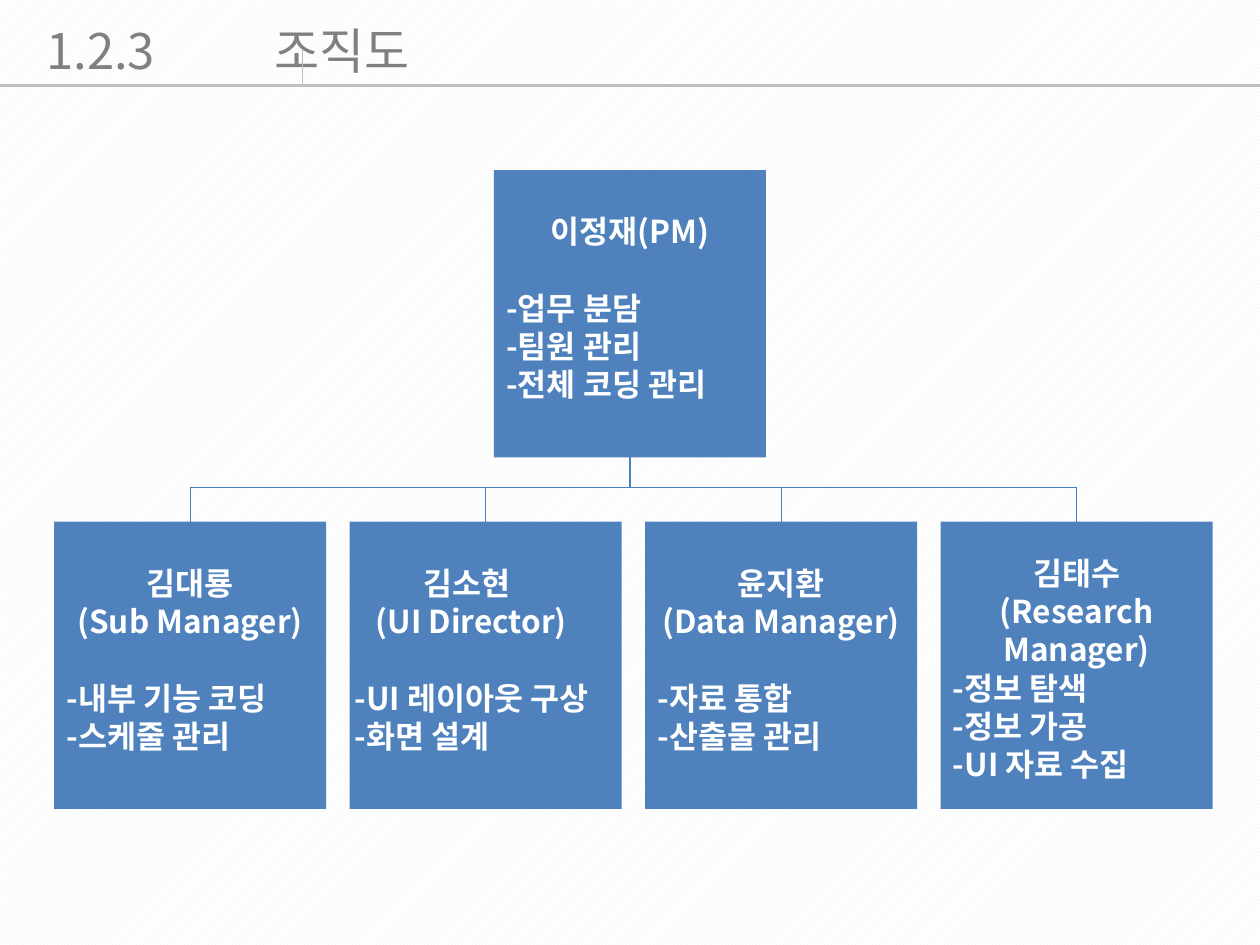
from lxml import etree
from pptx import Presentation
from pptx.dml.color import RGBColor
from pptx.enum.dml import MSO_PATTERN
from pptx.enum.shapes import MSO_CONNECTOR, MSO_SHAPE
from pptx.enum.text import MSO_AUTO_SIZE, PP_ALIGN
from pptx.oxml.ns import qn
from pptx.util import Inches, Pt

RECT, STRAIGHT = MSO_SHAPE.RECTANGLE, MSO_CONNECTOR.STRAIGHT
HATCH = MSO_PATTERN.LIGHT_UPWARD_DIAGONAL
LEFT, CENTER = PP_ALIGN.LEFT, PP_ALIGN.CENTER
FIT = MSO_AUTO_SIZE.SHAPE_TO_FIT_TEXT
TOP, BOTTOM = 0, 2
COLS, ROWS = 100, 75
FONT = "Noto Sans CJK KR"
COLORS = {"hatch": "F2F2F2", "paper": "FFFFFF", "title": "808080",
          "rule": "BFBFBF", "card": "4F81BD", "link": "4B7EBC"}
TITLE = {"size": Pt(28), "bold": False}
BODY = {"size": Pt(18), "bold": True}
PITCH = 1.215

CARD_W, CARD_H = 21.6, 22.8
FIRST_X, STEP_X = 4.3, 23.45
PM_X, PM_Y, TEAM_Y, BUS_Y = 39.2, 13.5, 41.4, 38.7

PM = (["이정재(PM)"], ["-업무 분담", "-팀원 관리", "-전체 코딩 관리"])
TEAM = [
    {"names": ["김대룡", "(Sub Manager)"],
     "tasks": ["-내부 기능 코딩", "-스케줄 관리"]},
    {"names": ["김소현", "(UI Director)"],
     "tasks": ["-UI 레이아웃 구상", "-화면 설계"],
     "dx": -0.6, "width": 24.5, "indents": [5.5, 1.7]},
    {"names": ["윤지환", "(Data Manager)"],
     "tasks": ["-자료 통합", "-산출물 관리"]},
    {"names": ["김태수", "(Research", "Manager)"],
     "tasks": ["-정보 탐색", "-정보 가공", "-UI 자료 수집"],
     "dy": 2, "gap": False},
]


def rgb(name):
    return RGBColor.from_string(COLORS[name])


class Deck:
    def __init__(self):
        self.prs = Presentation()
        self.prs.slide_width, self.prs.slide_height = Inches(10), Inches(7.5)
        self.s = self.prs.slides.add_slide(self.prs.slide_layouts[6])
        fill = self.s.background.fill
        fill.patterned()
        fill.pattern = HATCH
        fill.fore_color.rgb, fill.back_color.rgb = rgb("hatch"), rgb("paper")

    def x(self, cols):
        return round(self.prs.slide_width * cols / COLS)

    def y(self, rows):
        return round(self.prs.slide_height * rows / ROWS)

    def card(self, col, row):
        sp = self.s.shapes.add_shape(RECT, self.x(col), self.y(row),
                                     self.x(CARD_W), self.y(CARD_H))
        sp.shadow.inherit = False
        sp.fill.solid()
        sp.fill.fore_color.rgb = rgb("card")
        sp.line.fill.background()
        return sp

    def text(self, box, lines, style, color):
        col, row, width, height = box
        sp = self.s.shapes.add_textbox(self.x(col), self.y(row),
                                       self.x(width), self.y(height))
        tf = sp.text_frame
        tf.word_wrap, tf.auto_size = True, FIT
        for i, line in enumerate(lines):
            p = tf.paragraphs[0] if i == 0 else tf.add_paragraph()
            p.alignment = line.get("align", LEFT)
            p.line_spacing = Pt(round(style["size"].pt * PITCH, 1))
            if line.get("gap"):
                p.space_before = p.line_spacing
            pPr = p._p.get_or_add_pPr()
            if "indent" in line:
                pPr.set("marL", str(self.x(line["indent"])))
            if "tab" in line:
                tabs = etree.SubElement(pPr, qn("a:tabLst"))
                etree.SubElement(tabs, qn("a:tab"), algn="l",
                                 pos=str(self.x(line["tab"])))
            r = p.add_run()
            r.text = line["text"]
            for key, value in {**style, "name": FONT}.items():
                setattr(r.font, key, value)
            r.font.color.rgb = rgb(color)
            etree.SubElement(r._r.get_or_add_rPr(), qn("a:ea"), typeface=FONT)

    def member(self, box, names, tasks, gap=True, indents=None):
        if indents:
            lines = [{"text": n, "indent": d} for n, d in zip(names, indents)]
        else:
            lines = [{"text": n, "align": CENTER} for n in names]
        lines += [{"text": t, "gap": gap and i == 0}
                  for i, t in enumerate(tasks)]
        self.text(box, lines, BODY, "paper")

    def line(self, start, end, color, width=0.75, begin=None, finish=None):
        c = self.s.shapes.add_connector(STRAIGHT, self.x(start[0]), self.y(start[1]),
                                        self.x(end[0]), self.y(end[1]))
        if begin:
            c.begin_connect(begin, BOTTOM)
        if finish:
            c.end_connect(finish, TOP)
        c.line.color.rgb = rgb(color)
        c.line.width = Pt(width)
        etree.SubElement(c._element.spPr, qn("a:effectLst"))


def main():
    deck = Deck()
    deck.text((2.7, 1.1, 42.6, 5.7), [{"text": "1.2.3\t조직도", "tab": 18.1}],
              TITLE, "title")
    deck.line((0, 6.8), (COLS, 6.8), "rule", 2)
    deck.line((24, 3.9), (24, 6.8), "rule")

    pm = deck.card(PM_X, PM_Y)
    lefts = [FIRST_X + STEP_X * i for i in range(len(TEAM))]
    cards = [deck.card(left, TEAM_Y) for left in lefts]

    deck.member((PM_X, PM_Y + 2.8, CARD_W, 16.2), *PM)
    for left, m in zip(lefts, TEAM):
        box = (left + m.get("dx", 0), TEAM_Y + m.get("dy", 2.8),
               m.get("width", CARD_W), 16.2 if m.get("gap", True) else 19.2)
        deck.member(box, m["names"], m["tasks"], m.get("gap", True),
                    m.get("indents"))

    centers = [left + CARD_W / 2 for left in lefts]
    deck.line((centers[0], BUS_Y), (centers[-1], BUS_Y), "link")
    middle = PM_X + CARD_W / 2
    deck.line((middle, PM_Y + CARD_H), (middle, BUS_Y), "link", begin=pm)
    for center, card in zip(centers, cards):
        deck.line((center, BUS_Y), (center, TEAM_Y), "link", finish=card)
    deck.prs.save("out.pptx")


if __name__ == "__main__":
    main()
